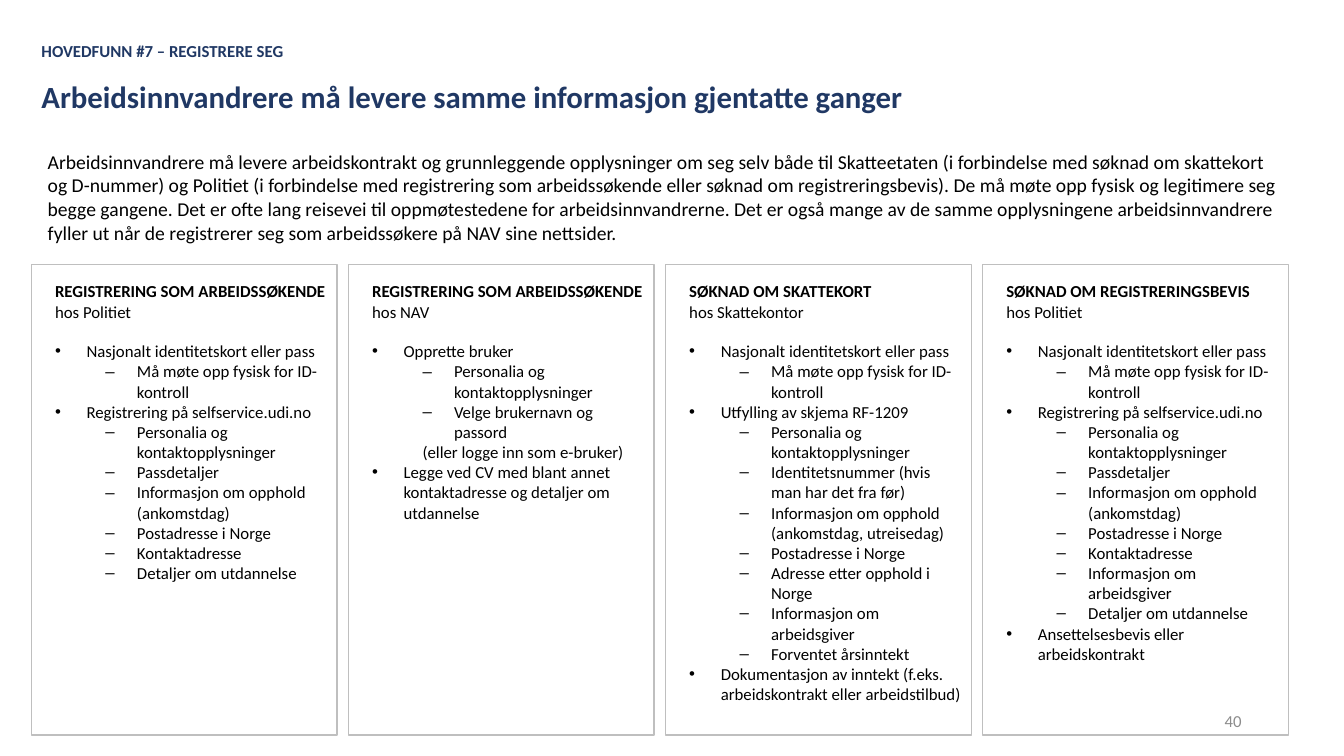
from lxml.etree import SubElement
from pptx import Presentation
from pptx.dml.color import RGBColor
from pptx.enum.shapes import MSO_SHAPE as Shape
from pptx.enum.text import MSO_ANCHOR as Anchor, PP_ALIGN as Align
from pptx.oxml.ns import qn
from pptx.util import Pt

PX = 9525
FONT = "Calibri"
NAVY, BLACK, WHITE, BORDER, GREY = "203864", "000000", "FFFFFF", "BFBFBF", "8C8C8C"

# Each list level: outline level, left margin, first-line indent, bullet
POINT = (0, 30, -30, "•")
DETAIL = (1, 78, -30, "‒")
REMARK = (1, 48, 0, None)

IDENTITY = [
    (POINT, "Nasjonalt identitetskort eller pass"),
    (DETAIL, "Må møte opp fysisk for ID-kontroll"),
]
PERSONALIA = (DETAIL, "Personalia og kontaktopplysninger")
POSTAL = (DETAIL, "Postadresse i Norge")
EMPLOYER = (DETAIL, "Informasjon om arbeidsgiver")
EDUCATION = (DETAIL, "Detaljer om utdannelse")
SELF_SERVICE = [
    (POINT, "Registrering på selfservice.udi.no"),
    PERSONALIA,
    (DETAIL, "Passdetaljer"),
    (DETAIL, "Informasjon om opphold (ankomstdag)"),
    POSTAL,
    (DETAIL, "Kontaktadresse"),
]

CARDS = [
    ("REGISTRERING SOM ARBEIDSSØKENDE", "hos Politiet",
     IDENTITY + SELF_SERVICE + [EDUCATION]),
    ("REGISTRERING SOM ARBEIDSSØKENDE", "hos NAV", [
        (POINT, "Opprette bruker"),
        PERSONALIA,
        (DETAIL, "Velge brukernavn og passord"),
        (REMARK, "(eller logge inn som e-bruker)"),
        (POINT, "Legge ved CV med blant annet kontaktadresse og detaljer om utdannelse"),
    ]),
    ("SØKNAD OM SKATTEKORT", "hos Skattekontor", IDENTITY + [
        (POINT, "Utfylling av skjema RF-1209"),
        PERSONALIA,
        (DETAIL, "Identitetsnummer (hvis man har det fra før)"),
        (DETAIL, "Informasjon om opphold (ankomstdag, utreisedag)"),
        POSTAL,
        (DETAIL, "Adresse etter opphold i Norge"),
        EMPLOYER,
        (DETAIL, "Forventet årsinntekt"),
        (POINT, "Dokumentasjon av inntekt (f.eks. arbeidskontrakt eller arbeidstilbud)"),
    ]),
    ("SØKNAD OM REGISTRERINGSBEVIS", "hos Politiet",
     IDENTITY + SELF_SERVICE + [
         EMPLOYER,
         EDUCATION,
         (POINT, "Ansettelsesbevis eller arbeidskontrakt"),
     ]),
]

INTRO = (
    "Arbeidsinnvandrere må levere arbeidskontrakt og grunnleggende opplysninger om seg selv "
    "både til Skatteetaten (i forbindelse med søknad om skattekort og D-nummer) og Politiet "
    "(i forbindelse med registrering som arbeidssøkende eller søknad om registreringsbevis). "
    "De må møte opp fysisk og legitimere seg begge gangene. Det er ofte lang reisevei til "
    "oppmøtestedene for arbeidsinnvandrerne. Det er også mange av de samme opplysningene "
    "arbeidsinnvandrere fyller ut når de registrerer seg som arbeidssøkere på NAV sine nettsider."
)


def color(value):
    return RGBColor.from_string(value)


def emu(box):
    return [length * PX for length in box]


def text_frame(page, box, anchor=Anchor.TOP):
    frame = page.shapes.add_textbox(*emu(box)).text_frame
    frame.word_wrap = True
    frame.vertical_anchor = anchor
    return frame


def write(frame, text, size=12, ink=BLACK, bold=False, align=Align.LEFT, before=0, style=None):
    """Add a paragraph, using the empty first one if there is no text yet."""
    para = frame.add_paragraph() if frame.text else frame.paragraphs[0]
    if style:
        para.level, margin, indent, bullet = style
        properties = para._p.get_or_add_pPr()
        properties.set("marL", str(margin * PX))
        properties.set("indent", str(indent * PX))
        if bullet:
            SubElement(properties, qn("a:buFont")).set("typeface", "Arial")
            SubElement(properties, qn("a:buChar")).set("char", bullet)
        else:
            SubElement(properties, qn("a:buNone"))
    para.alignment = align
    para.space_before = Pt(before)
    span = para.add_run()
    span.text = text
    span.font.name = FONT
    span.font.size = Pt(size)
    span.font.bold = bold
    span.font.color.rgb = color(ink)


def add_heading(page, box):
    frame = text_frame(page, box, Anchor.BOTTOM)
    write(frame, "HOVEDFUNN #7 – REGISTRERE SEG", ink=NAVY, bold=True)
    write(frame, "Arbeidsinnvandrere må levere samme informasjon gjentatte ganger",
          size=22, ink=NAVY, bold=True, before=12)


def add_intro(page, box):
    write(text_frame(page, box), INTRO, size=14)


def add_card(page, box, title, place, items):
    left, top, width, height = box
    panel = page.shapes.add_shape(Shape.RECTANGLE, *emu(box))
    panel.shadow.inherit = False
    panel.fill.solid()
    panel.fill.fore_color.rgb = color(WHITE)
    panel.line.color.rgb = color(BORDER)
    panel.line.width = Pt(1)

    frame = text_frame(page, (left + 13, top + 11, width - 12, height - 11))
    write(frame, title, bold=True)
    write(frame, place)
    for index, (style, text) in enumerate(items):
        write(frame, text, style=style, before=0 if index else 14)


def add_card_row(page, box, gap):
    left, top, width, height = box
    card_width = (width - gap * (len(CARDS) - 1)) // len(CARDS)
    for index, card in enumerate(CARDS):
        card_left = left + index * (card_width + gap)
        add_card(page, (card_left, top, card_width, height), *card)


def add_page_number(page, box):
    write(text_frame(page, box, Anchor.MIDDLE), "40", ink=GREY, align=Align.RIGHT)


def main():
    deck = Presentation()
    deck.slide_width, deck.slide_height = emu((1280, 720))
    page = deck.slides.add_slide(deck.slide_layouts[6])
    add_heading(page, (30, 32, 1250, 82))
    add_intro(page, (36, 138, 1196, 104))
    add_card_row(page, (30, 252, 1197, 448), gap=11)
    add_page_number(page, (904, 667, 288, 38))
    deck.save("out.pptx")


if __name__ == "__main__":
    main()
